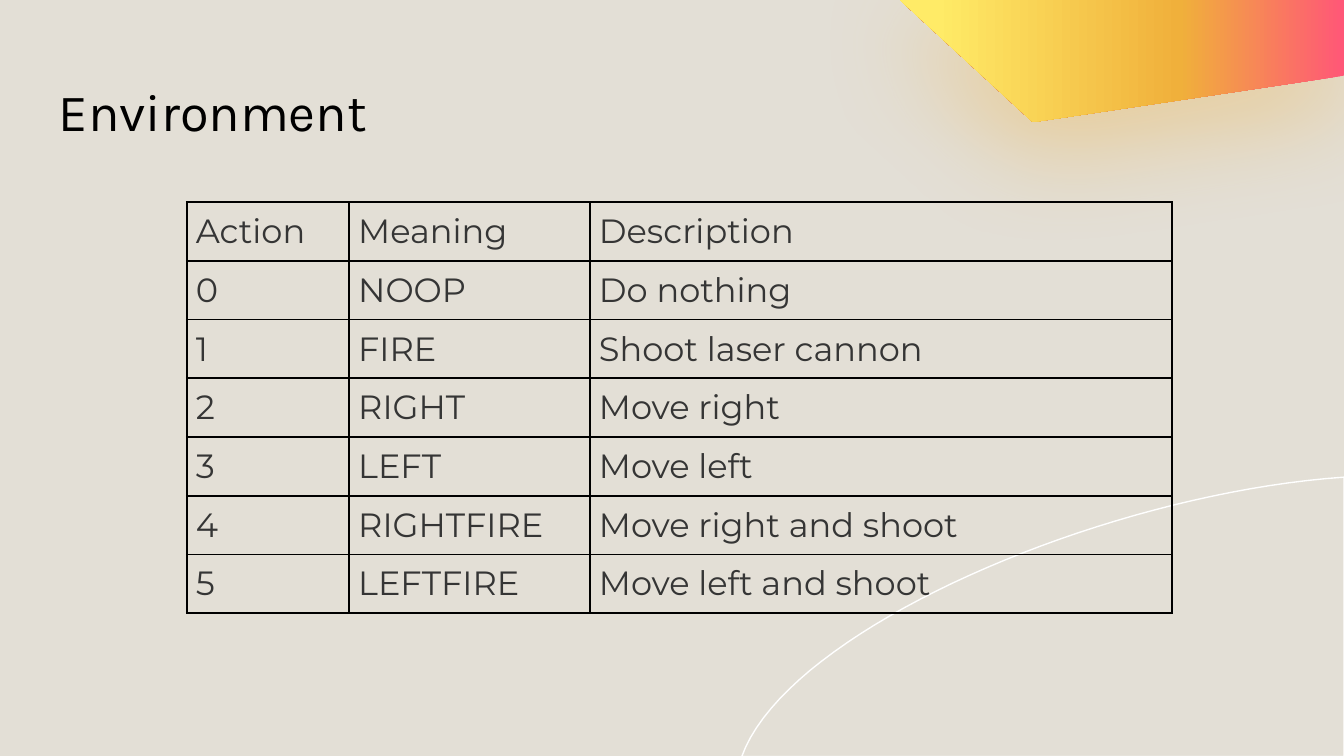
from dataclasses import dataclass

from lxml import etree
from pptx import Presentation
from pptx.dml.color import RGBColor
from pptx.oxml import parse_xml
from pptx.oxml.ns import nsdecls
from pptx.util import Cm, Pt

SLIDE_WIDTH, SLIDE_HEIGHT = 25.4, 14.29


@dataclass(frozen=True)
class Theme:
    background: str = "E3DFD6"
    title: str = "000000"
    body: str = "353535"
    border: str = "000000"
    curve: str = "FFFFFF"
    glow: str = "F0B03B"
    gradient: tuple = ((0, "FF5777"), (37, "F0B03B"), (92, "FFEB67"), (100, "FFEB67"))
    title_font: str = "Karla"
    body_font: str = "Montserrat"
    title_size: int = 28
    body_size: int = 18


THEME = Theme()

ACTIONS = [
    ("Action", "Meaning", "Description"),
    ("0", "NOOP", "Do nothing"),
    ("1", "FIRE", "Shoot laser cannon"),
    ("2", "RIGHT", "Move right"),
    ("3", "LEFT", "Move left"),
    ("4", "RIGHTFIRE", "Move right and shoot"),
    ("5", "LEFTFIRE", "Move left and shoot"),
]
COLUMN_WIDTHS = (3.07, 4.55, 11)
ROW_HEIGHT = 1.11
CELL_MARGIN = 0.17


def rgb(value):
    return RGBColor.from_string(value)


def style_text(frame, font_name, size, color):
    for paragraph in frame.paragraphs:
        for run in paragraph.runs:
            run.font.name = font_name
            run.font.size = Pt(size)
            run.font.color.rgb = rgb(color)


def bezier(start, control_1, control_2, end, steps=40):
    """Return evenly stepped points on a cubic curve."""
    points = []
    for step in range(steps + 1):
        t = step / steps
        weights = ((1 - t) ** 3, 3 * t * (1 - t) ** 2, 3 * t**2 * (1 - t), t**3)
        points.append(tuple(
            sum(w * p for w, p in zip(weights, axis))
            for axis in zip(start, control_1, control_2, end)
        ))
    return points


def add_polygon(slide, points):
    corners = [(Cm(x), Cm(y)) for x, y in points]
    builder = slide.shapes.build_freeform(*corners[0])
    builder.add_line_segments(corners[1:], close=True)
    polygon = builder.convert_to_shape()
    polygon.shadow.inherit = False
    return polygon


def add_curve(slide):
    arc = bezier((SLIDE_WIDTH, 9.02), (20.83, 9.34), (14.89, 11.89), (14.02, 14.3))
    curve = add_polygon(slide, arc + [(SLIDE_WIDTH, 14.3)])
    curve.fill.background()
    curve.line.color.rgb = rgb(THEME.curve)
    curve.line.width = Pt(0.75)


def add_corner_ornament(slide):
    """Add the gradient corner with its soft coloured glow."""
    corner = add_polygon(
        slide, [(17.01, 0), (19.52, 2.31), (SLIDE_WIDTH, 1.43), (SLIDE_WIDTH, 0)]
    )
    corner.line.fill.background()
    stops = "".join(
        f'<a:gs pos="{position * 1000}"><a:srgbClr val="{color}"/></a:gs>'
        for position, color in THEME.gradient
    )
    properties = corner.element.spPr
    geometry = properties.find("{*}custGeom")
    geometry.addnext(parse_xml(
        f'<a:gradFill {nsdecls("a")} rotWithShape="1"><a:gsLst>{stops}</a:gsLst>'
        '<a:lin ang="10800000" scaled="0"/></a:gradFill>'
    ))
    properties.find("{*}effectLst").append(parse_xml(
        f'<a:outerShdw {nsdecls("a")} blurRad="{Pt(55.1)}" dist="{Pt(17.2)}" '
        f'dir="{95 * 60000}" algn="bl" rotWithShape="0"><a:srgbClr val="{THEME.glow}">'
        '<a:alpha val="40000"/></a:srgbClr></a:outerShdw>'
    ))


def add_title(slide, wording):
    title = slide.shapes.add_textbox(Cm(0.86), Cm(1.24), Cm(23.67), Cm(1.6))
    frame = title.text_frame
    frame.word_wrap = True
    frame.margin_left = frame.margin_right = Cm(0.25)
    frame.margin_top = frame.margin_bottom = Cm(0.25)
    frame.text = wording
    style_text(frame, THEME.title_font, THEME.title_size, THEME.title)


def set_borders(cell):
    properties = cell._tc.get_or_add_tcPr()
    for index, side in enumerate("LRTB"):
        border = parse_xml(f'<a:ln{side} {nsdecls("a")} w="{Pt(1)}"/>')
        fill = etree.SubElement(border, border.tag.replace(f"ln{side}", "solidFill"))
        color = etree.SubElement(fill, fill.tag.replace("solidFill", "srgbClr"))
        color.set("val", THEME.border)
        properties.insert(index, border)


def fill_cell(cell, wording):
    cell.text = wording
    cell.margin_left = cell.margin_right = Cm(CELL_MARGIN)
    cell.margin_top = cell.margin_bottom = Cm(CELL_MARGIN)
    cell.fill.background()
    set_borders(cell)
    style_text(cell.text_frame, THEME.body_font, THEME.body_size, THEME.body)


def add_action_table(slide):
    table = slide.shapes.add_table(
        len(ACTIONS), len(COLUMN_WIDTHS), Cm(3.53), Cm(3.82),
        Cm(sum(COLUMN_WIDTHS)), Cm(ROW_HEIGHT * len(ACTIONS)),
    ).table
    table.first_row = table.horz_banding = False
    for column, width in zip(table.columns, COLUMN_WIDTHS):
        column.width = Cm(width)
    for row, action in zip(table.rows, ACTIONS):
        row.height = Cm(ROW_HEIGHT)
        for cell, wording in zip(row.cells, action):
            fill_cell(cell, wording)


def main():
    presentation = Presentation()
    presentation.slide_width = Cm(SLIDE_WIDTH)
    presentation.slide_height = Cm(SLIDE_HEIGHT)
    slide = presentation.slides.add_slide(presentation.slide_layouts[6])
    slide.background.fill.solid()
    slide.background.fill.fore_color.rgb = rgb(THEME.background)
    add_curve(slide)
    add_corner_ornament(slide)
    add_title(slide, "Environment")
    add_action_table(slide)
    presentation.save("out.pptx")


if __name__ == "__main__":
    main()
